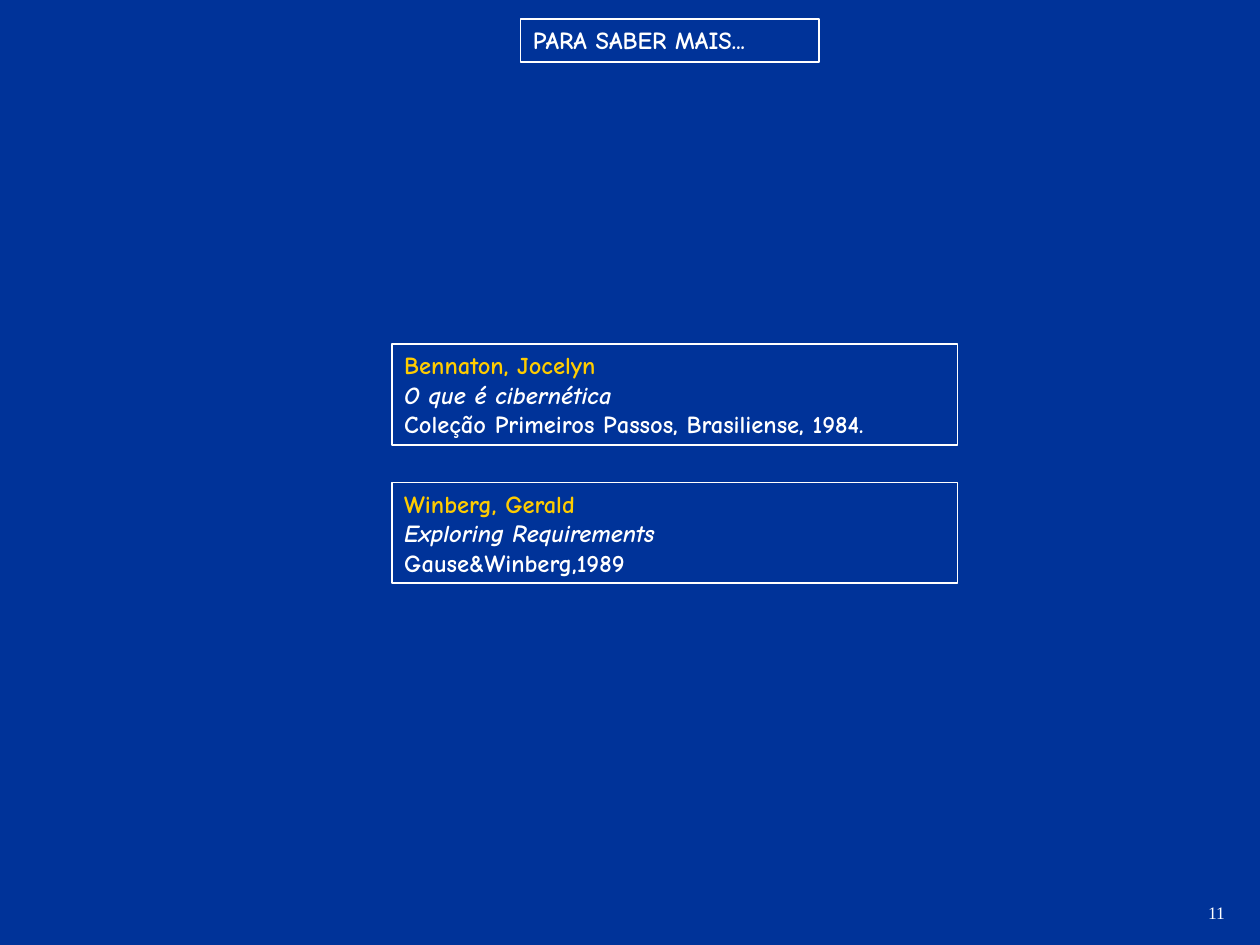
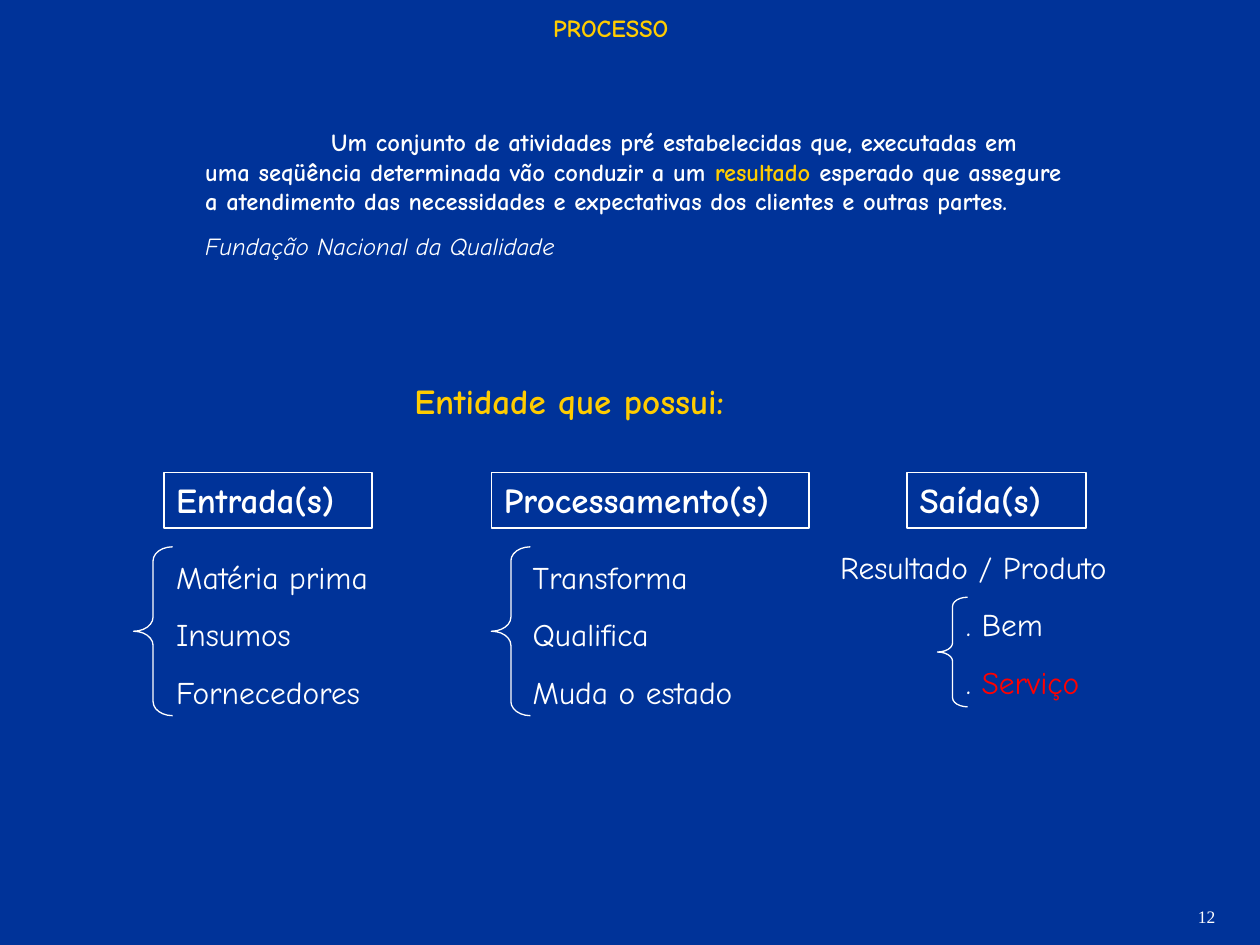
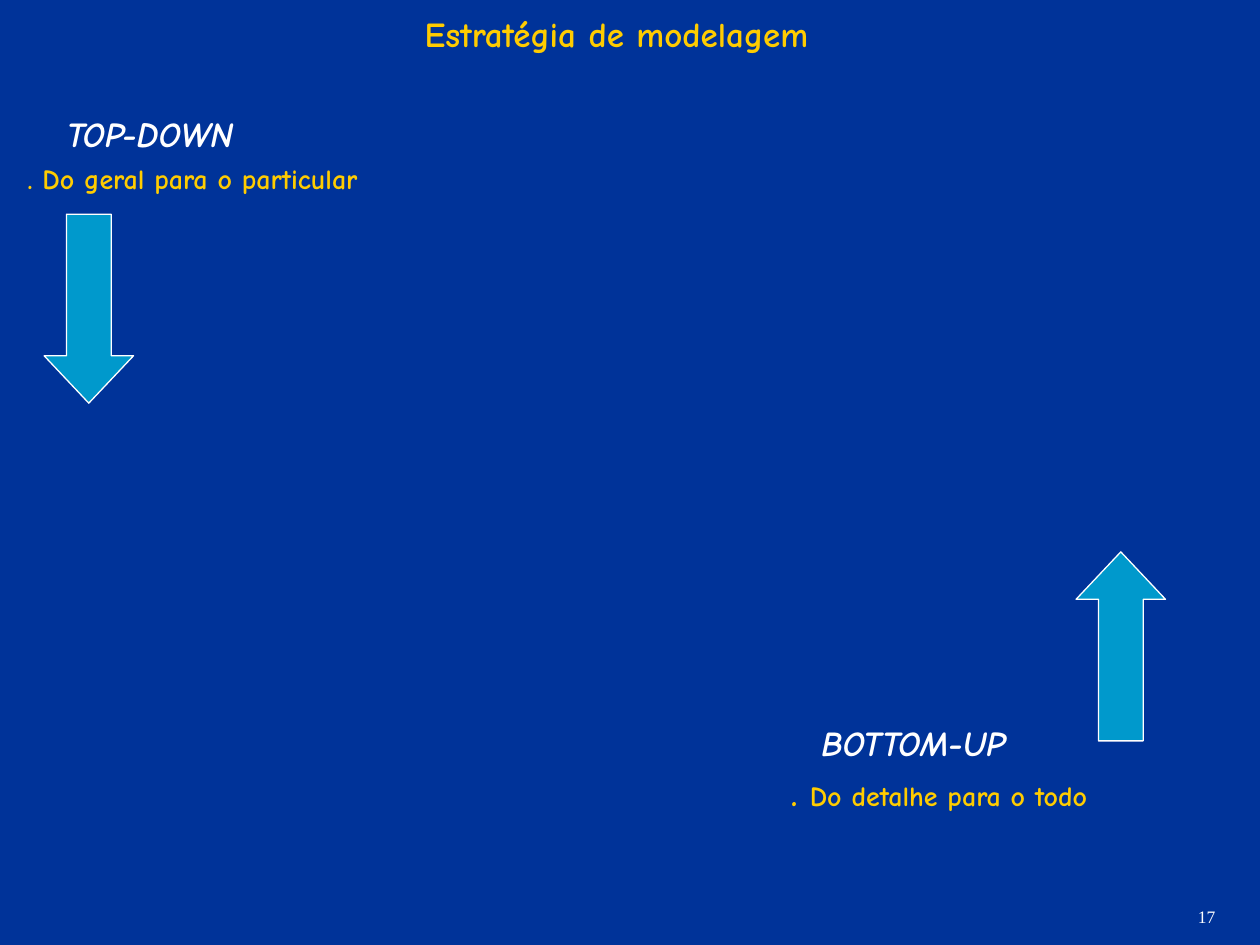
"""Build three slides on further reading, processes and modelling strategy."""
from pptx import Presentation
from pptx.dml.color import RGBColor
from pptx.enum.shapes import MSO_SHAPE
from pptx.enum.text import MSO_ANCHOR, MSO_AUTO_SIZE, PP_ALIGN
from pptx.util import Inches, Pt

BLUE, WHITE, GOLD, RED, CYAN = "003399", "FFFFFF", "FFCC00", "FF0000", "0099CC"
ITALIC = {"italic": True}
PLAIN = {"bold": False}


def rgb(value):
    """Turn a hex string into a colour."""
    return RGBColor.from_string(value)


def write(sp, box, paras, size=14, color=WHITE, before=0.0, border=False, **base):
    """Place a text shape and fill it with paragraphs of (text, format) runs."""
    sp.left, sp.top, sp.width, sp.height = [Inches(v) for v in box]
    if border:
        sp.line.color.rgb = rgb(WHITE)
        sp.line.width = Pt(1)
    tf = sp.text_frame
    frame = {"word_wrap": True, "auto_size": MSO_AUTO_SIZE.NONE, "vertical_anchor": MSO_ANCHOR.TOP}
    for name, value in frame.items():
        setattr(tf, name, value)
    for i, runs in enumerate(paras):
        p = tf.add_paragraph() if i else tf.paragraphs[0]
        p.alignment = PP_ALIGN.LEFT
        if i:
            p.space_before = Pt(before)
        for text, changes in runs:
            r = p.add_run()
            r.text = text
            style = {"name": "Comic Neue", "size": size, "bold": True, "color": color, **base, **changes}
            r.font.color.rgb = rgb(style.pop("color"))
            r.font.size = Pt(style.pop("size"))
            for name, value in style.items():
                setattr(r.font, name, value)
    return tf


prs = Presentation()
prs.slide_width, prs.slide_height = Inches(10), Inches(7.5)
fill = prs.slide_master.background.fill
fill.solid()
fill.fore_color.rgb = rgb(BLUE)

pages = [
    ("PARA SABER MAIS...", (4.13, 0.15, 2.37, 0.34), {"border": True}, "11", (9.49, 7.11, 0.39, 0.27)),
    ("PROCESSO", (4.29, 0.05, 1.81, 0.34), {"color": GOLD}, "12", (9.41, 7.14, 0.47, 0.27)),
    ("Estratégia de modelagem", (3.27, 0.05, 3.62, 0.44), {"color": GOLD, "size": 20},
     "17", (9.41, 7.14, 0.47, 0.27)),
]
slides = []
for title, box, style, number, number_box in pages:
    s = prs.slides.add_slide(prs.slide_layouts[5])
    write(s.shapes.title, box, [[(title, {})]], **style)
    write(s.shapes.add_textbox(0, 0, 0, 0), number_box, [[(number, {})]],
          size=10, name="Times New Roman", bold=False)
    slides.append(s)
reading, process, strategy = slides

books = [
    ("Bennaton, Jocelyn", "O que é cibernética", "Coleção Primeiros Passos, Brasiliense, 1984."),
    ("Winberg, Gerald", "Exploring Requirements", "Gause&Winberg,1989"),
]
for i, (author, work, publisher) in enumerate(books):
    write(reading.shapes.add_textbox(0, 0, 0, 0), (3.11, 2.73 + 1.1 * i, 4.49, 0.8),
          [[(author, {"color": GOLD})], [(work, ITALIC)], [(publisher, {})]], border=True)

definition = [
    [("Um conjunto de atividades pré estabelecidas que, executadas em uma seqüência "
      "determinada vão conduzir a um ", {}),
     ("resultado", {"color": GOLD}),
     (" esperado que assegure a atendimento das necessidades e expectativas dos clientes "
      "e outras partes.", {})],
    [("Fundação Nacional da Qualidade", {**PLAIN, **ITALIC})],
]
tf = write(process.shapes.add_textbox(0, 0, 0, 0), (1.53, 0.96, 7.01, 1.41), definition, before=8.8)
tf.paragraphs[0]._p.get_or_add_pPr().set("indent", str(Inches(1)))
write(process.shapes.add_textbox(0, 0, 0, 0), (3.19, 2.96, 3.39, 0.44),
      [[("Entidade que possui:", {})]], size=20, color=GOLD)

parts = [
    ("Entrada(s)", 1.3, 1.65, (1.3, 4.38, 1.97, 1.32), (1.06, 4.34, 0.31, 1.34),
     [[("Matéria prima", {})], [("Insumos", {})], [("Fornecedores", {})]]),
    ("Processamento(s)", 3.9, 2.52, (4.13, 4.38, 1.97, 1.32), (3.9, 4.34, 0.31, 1.34),
     [[("Transforma", {})], [("Qualifica", {})], [("Muda o estado", {})]]),
    ("Saída(s)", 7.2, 1.42, (6.57, 4.3, 2.6, 1.32), (7.44, 4.74, 0.24, 0.87),
     [[("Resultado / Produto", {})], [(". Bem", {})], [(". ", {}), ("Serviço", {"color": RED})]]),
]
for heading, left, width, list_box, brace_box, items in parts:
    write(process.shapes.add_textbox(0, 0, 0, 0), (left, 3.75, width, 0.44),
          [[(heading, {})]], size=20, border=True)
    tf = write(process.shapes.add_textbox(0, 0, 0, 0), list_box, items, size=18, before=11.2, **PLAIN)
    for p in tf.paragraphs:
        if p.text.startswith("."):
            p._p.get_or_add_pPr().set("marL", str(Inches(1)))
    brace = process.shapes.add_shape(MSO_SHAPE.LEFT_BRACE, *[Inches(v) for v in brace_box])
    brace.adjustments[0] = brace_box[3] / brace_box[2] / 12
    brace.shadow.inherit = False
    brace.fill.background()
    brace.line.color.rgb = rgb(WHITE)
    brace.line.width = Pt(0.75)

directions = [
    ("TOP-DOWN", (0.43, 0.84, 1.97, 0.44), (0.12, 1.23, 3.31, 0.37),
     [(". Do geral para o particular", {})], (0.35, 1.7), 0),
    ("BOTTOM-UP", (6.42, 5.68, 2.13, 0.44), (6.18, 6.07, 3.54, 0.44),
     [(". ", {"size": 20}), ("Do detalhe para o todo", {})], (8.54, 4.38), 180),
]
for name, name_box, note_box, note, (left, top), rotation in directions:
    write(strategy.shapes.add_textbox(0, 0, 0, 0), name_box, [[(name, ITALIC)]], size=20)
    write(strategy.shapes.add_textbox(0, 0, 0, 0), note_box, [note], size=16, color=GOLD)
    arrow = strategy.shapes.add_shape(MSO_SHAPE.DOWN_ARROW, Inches(left), Inches(top),
                                      Inches(0.71), Inches(1.5))
    arrow.adjustments[1] = 0.53
    arrow.rotation = rotation
    arrow.shadow.inherit = False
    arrow.fill.solid()
    arrow.fill.fore_color.rgb = rgb(CYAN)
    arrow.line.color.rgb = rgb(WHITE)
    arrow.line.width = Pt(0.75)

prs.save("out.pptx")
